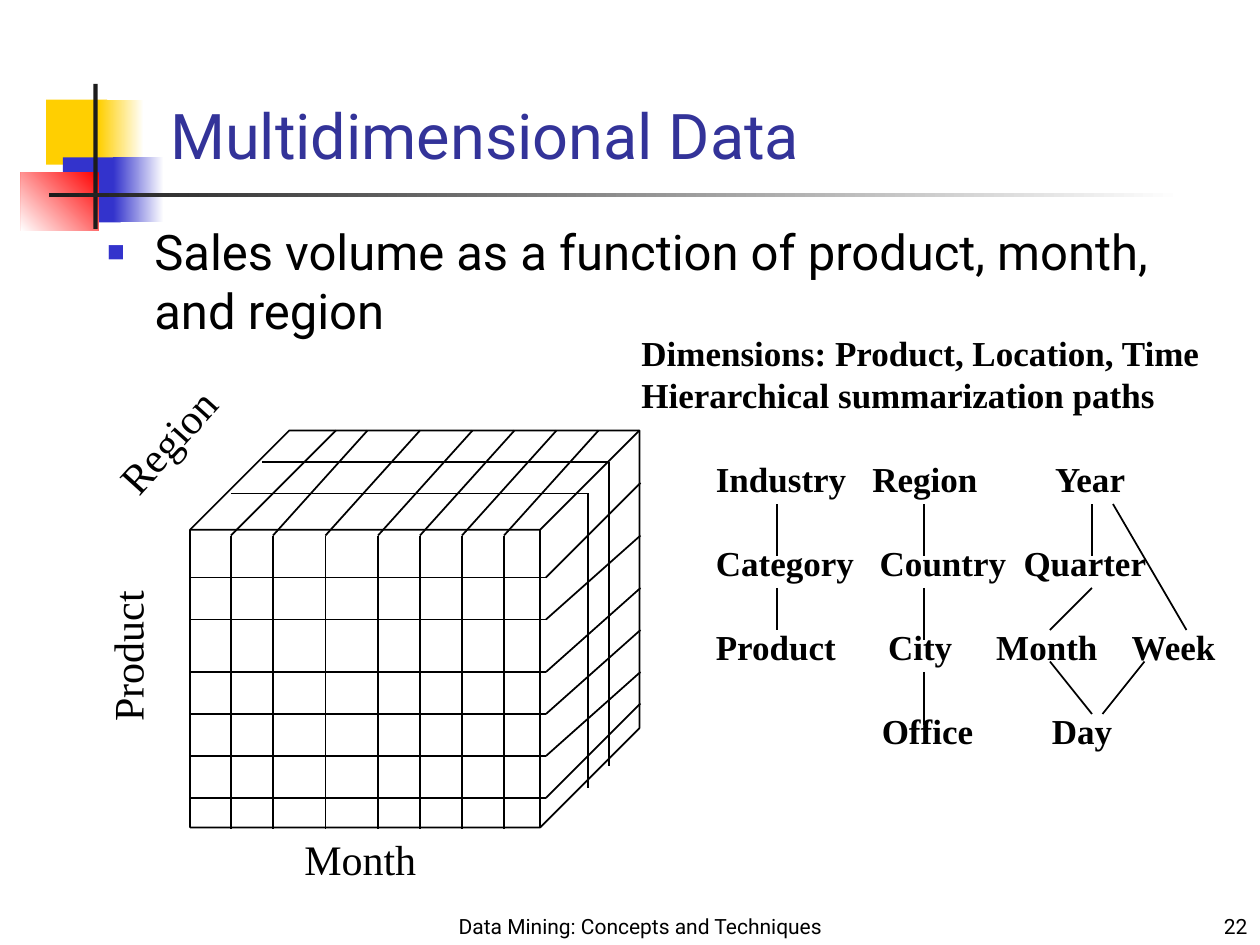
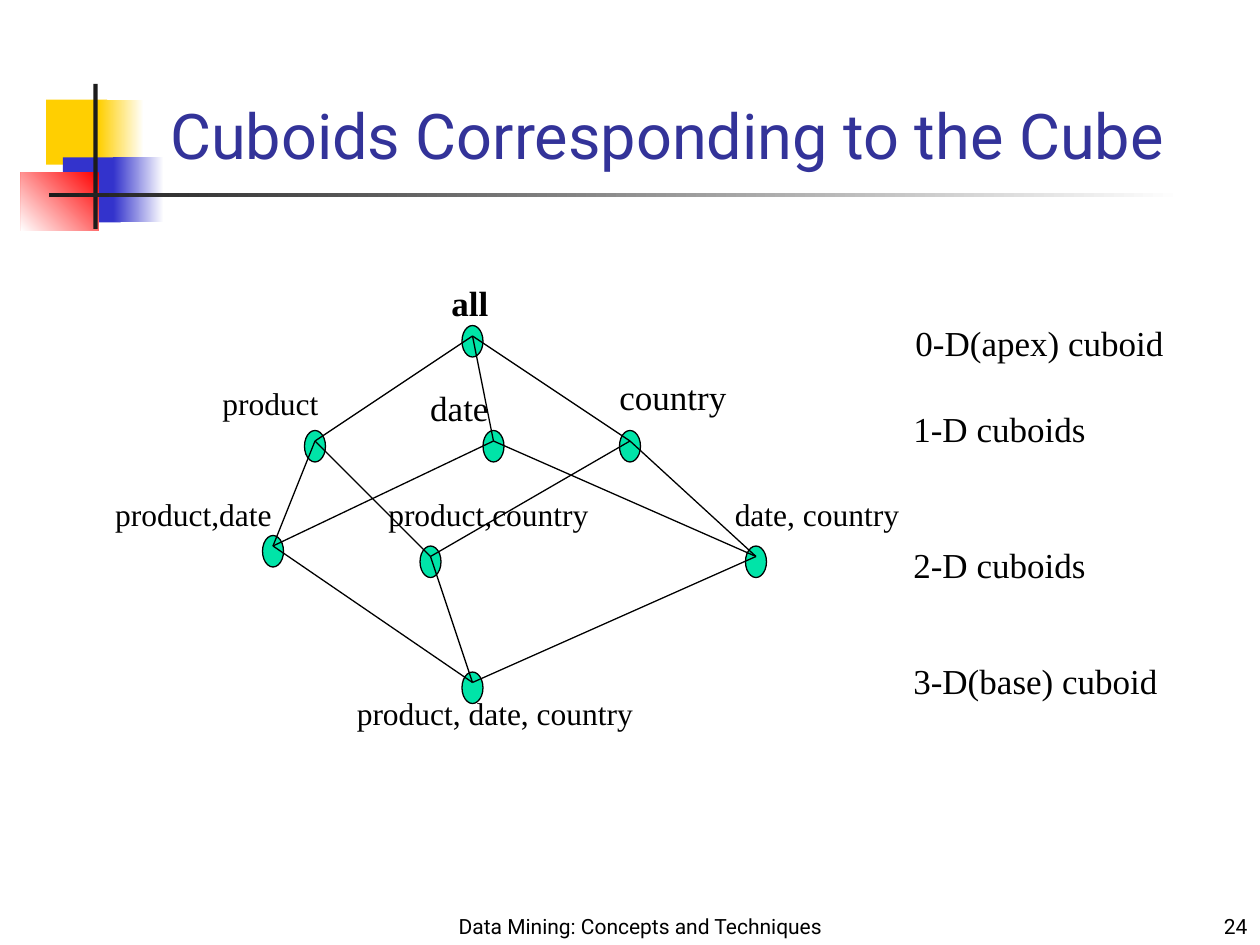
from itertools import permutations

from lxml.etree import SubElement
from pptx import Presentation
from pptx.dml.color import RGBColor
from pptx.enum.shapes import MSO_CONNECTOR as Connector, MSO_SHAPE as Shape
from pptx.enum.text import MSO_ANCHOR as Anchor, MSO_AUTO_SIZE as AutoSize, PP_ALIGN as Align
from pptx.oxml.ns import qn
from pptx.util import Pt

PX = 914400 // 120
LABEL_SLACK = 5
SANS, SERIF = "Roboto", "Times New Roman"
COLORS = {
    "yellow": "FFCF01",
    "blue": "3333CC",
    "red": "FF0000",
    "white": "FFFFFF",
    "bar": "1C1C1C",
    "title": "333399",
    "text": "000000",
    "node": "00E4A8",
}
FOOTER = "Data Mining: Concepts and Techniques"


def rgb(name):
    """Return the named colour."""
    return RGBColor.from_string(COLORS[name])


def emu(*lengths):
    """Turn px lengths into EMU."""
    return [length * PX for length in lengths]


def write(paragraph, text, size, font=SERIF, color="text", bold=False):
    """Add one formatted run to a paragraph."""
    run = paragraph.add_run()
    run.text = text
    run.font.size = Pt(size)
    run.font.name = font
    run.font.bold = bold
    run.font.color.rgb = rgb(color)


def add_label(slide, box, text, size, bold=False, rotation=0):
    """Add an unwrapped serif label with a little spare width."""
    left, top, width, height = box
    label = slide.shapes.add_textbox(*emu(left, top, width + LABEL_SLACK, height))
    label.rotation = rotation
    label.text_frame.word_wrap = False
    label.text_frame.auto_size = AutoSize.SHAPE_TO_FIT_TEXT
    write(label.text_frame.paragraphs[0], text, size, bold=bold)
    return label


def add_line(slide, origin, ends, width=1):
    """Draw a straight line whose ends are relative to an origin."""
    left, top = origin
    x1, y1, x2, y2 = ends
    line = slide.shapes.add_connector(
        Connector.STRAIGHT, *emu(left + x1, top + y1, left + x2, top + y2))
    line.line.color.rgb = rgb("text")
    line.line.width = Pt(width)
    SubElement(line._element.spPr, qn("a:effectLst"))


def add_block(slide, box, start, end=None, angle=0):
    """Draw a plain or gradient rectangle without outline."""
    block = slide.shapes.add_shape(Shape.RECTANGLE, *emu(*box))
    block.shadow.inherit = False
    block.line.fill.background()
    if end is None:
        block.fill.solid()
        block.fill.fore_color.rgb = rgb(start)
        return
    block.fill.gradient()
    block.fill.gradient_angle = angle
    for stop, color in zip(block.fill.gradient_stops, (start, end)):
        stop.color.rgb = rgb(color)


def add_emblem(slide, left, top):
    """Draw the coloured blocks, the upright bar and the title rule."""
    for (x, y, width, height), *paint in (
        ((24, 15, 58, 62), "yellow"),
        ((74, 15, 43, 62), "white", "yellow", 180),
        ((40, 70, 55, 62), "blue"),
        ((88, 70, 48, 62), "white", "blue", 180),
        ((0, 84, 74, 56), "red", "white", 225),
        ((69, 0, 4, 138), "bar"),
        ((27, 104, 1080, 4), "white", "bar", 180),
    ):
        add_block(slide, (left + x, top + y, width, height), *paint)


def add_footer(slide, box, text, align):
    """Add a bottom-anchored footer text."""
    frame = slide.shapes.add_textbox(*emu(*box)).text_frame
    frame.word_wrap = True
    frame.vertical_anchor = Anchor.BOTTOM
    frame.paragraphs[0].alignment = align
    write(frame.paragraphs[0], text, 12, SANS)


def place(placeholder, box, anchor):
    """Move a placeholder and return its first paragraph."""
    placeholder.left, placeholder.top, placeholder.width, placeholder.height = emu(*box)
    frame = placeholder.text_frame
    frame.auto_size = AutoSize.NONE
    frame.word_wrap = True
    frame.vertical_anchor = anchor
    paragraph = frame.paragraphs[0]
    paragraph.alignment = Align.LEFT
    return paragraph


def add_slide(prs, layout, title, number):
    """Add a slide with emblem, title and footers."""
    slide = prs.slides.add_slide(prs.slide_layouts[layout])
    add_emblem(slide, 20, 80)
    heading = place(slide.shapes.title, (150, 90, 1022, 80), Anchor.BOTTOM)
    write(heading, title, 36, SANS, "title")
    add_footer(slide, (420, 830, 380, 70), FOOTER, Align.CENTER)
    add_footer(slide, (950, 840, 250, 60), number, Align.RIGHT)
    return slide


def add_statement(slide, box, text):
    """Fill the body placeholder with one square-bulleted statement."""
    statement = place(slide.placeholders[1], box, Anchor.TOP)
    props = statement._p.get_or_add_pPr()
    props.set("marL", str(45 * PX))
    props.set("indent", str(-45 * PX))
    bullet_color = SubElement(props, qn("a:buClr"))
    SubElement(bullet_color, qn("a:srgbClr"), val=COLORS["blue"])
    SubElement(props, qn("a:buSzPct"), val="60000")
    SubElement(props, qn("a:buChar"), char="■")
    statement.space_before = Pt(0)
    write(statement, text, 28, SANS)


def add_cube(slide, left, top):
    """Draw the sales cube with its grid and axis labels."""
    cube = slide.shapes.add_shape(Shape.CUBE, *emu(left + 1, top, 428, 378))
    cube.adjustments[0] = 0.25
    cube.shadow.inherit = False
    cube.fill.background()
    cube.line.color.rgb = rgb("text")
    cube.line.width = Pt(1)
    rows = ((140, 50), (180, 100), (230, 150), (270, 190), (310, 230), (350, 260))
    columns = (40, 80, 130, 180, 220, 260, 300)
    depths = ((70, 30, 400, 320), (40, 60, 380, 340))
    grid = []
    for front, back in rows:
        grid += [(0, front, 340, front), (340, front, 430, back)]
    for x in columns:
        shift = 100 if x == columns[0] else 90
        grid += [(x, 100, x, 380), (x, 100, x + shift, 0)]
    for start, y, corner, bottom in depths:
        grid += [(start, y, corner, y), (corner, y, corner, bottom)]
    for ends in grid:
        add_line(slide, (left, top), ends)
    for text, x, y, width, rotation in (
        ("Product", -136, 182, 149, 270),
        ("Region", -91, -22, 139, 312),
        ("Month", 98, 378, 131, 0),
    ):
        add_label(slide, (left + x, top + y, width, 60), text, 24, rotation=rotation)


def add_hierarchies(slide, left, top):
    """Write the dimension hierarchies on tab stops and link their levels."""
    levels = (
        (("Industry", 0), ("Region", 149), ("Year", 323)),
        (("Category", 0), ("Country", 156), ("Quarter", 293)),
        (("Product", 0), ("City", 164), ("Month", 267), ("Week", 396)),
        (("", 0), ("Office", 158), ("Day", 320)),
    )
    frame = slide.shapes.add_textbox(*emu(left, top, 504, 293)).text_frame
    frame.word_wrap = True
    for index, level in enumerate(levels):
        row = frame.add_paragraph() if index else frame.paragraphs[0]
        stops = SubElement(row._p.get_or_add_pPr(), qn("a:tabLst"))
        for _, x in level[1:]:
            SubElement(stops, qn("a:tab"), pos=str(x * PX), algn="l")
        row.line_spacing = Pt(24)
        row.space_before = Pt(24 if index else 0)
        write(row, "\t".join(name for name, _ in level), 20, bold=True)
    for ends in (
        (70, 50, 70, 100), (210, 50, 210, 100), (370, 50, 370, 100),
        (70, 130, 70, 170), (210, 130, 210, 180), (210, 210, 210, 260),
        (370, 130, 330, 170), (390, 50, 460, 170),
        (330, 200, 370, 250), (420, 200, 380, 250),
    ):
        add_line(slide, (left, top), ends)


def add_dimensions(slide, box):
    """Write the two lines that introduce the hierarchies."""
    frame = add_label(slide, box, "Dimensions: Product, Location, Time", 20, True).text_frame
    write(frame.add_paragraph(), "Hierarchical summarization paths", 20, bold=True)
    for paragraph in frame.paragraphs:
        paragraph.line_spacing = Pt(24)


def add_lattice(slide, left, top):
    """Draw the cuboid lattice, linking sets that differ by one dimension."""
    cuboids = {
        "": (350, 50, "all", 328, 2, 59, 20),
        "p": (200, 150, "product", 110, 100, 115, 18),
        "d": (370, 150, "date", 308, 102, 79, 20),
        "c": (500, 150, "country", 488, 92, 126, 20),
        "pd": (160, 250, "product,date", 8, 206, 173, 18),
        "pc": (310, 260, "product,country", 268, 206, 215, 18),
        "dc": (620, 260, "date, country", 598, 206, 180, 18),
        "pdc": (350, 380, "product, date, country", 238, 395, 287, 18),
    }
    for x, y, *_ in cuboids.values():
        node = slide.shapes.add_shape(
            Shape.FLOWCHART_CONNECTOR, *emu(left + x, top + y, 20, 30))
        node.shadow.inherit = False
        node.fill.solid()
        node.fill.fore_color.rgb = rgb("node")
        node.line.color.rgb = rgb("text")
        node.line.width = Pt(0.75)
    for parent, child in permutations(cuboids, 2):
        if set(parent) < set(child) and len(child) == len(parent) + 1:
            ends = cuboids[parent][:2] + cuboids[child][:2]
            add_line(slide, (left + 10, top + 10), ends, 0.75)
    for _, _, text, x, y, width, size in cuboids.values():
        box = (left + x, top + y, width, 53 if size == 20 else 48)
        add_label(slide, box, text, size, bold=text == "all")


def add_level_names(slide, left, top):
    """Name the lattice levels by their number of dimensions."""
    for text, x, y, width in (
        ("0-D(apex) cuboid", 2, 0, 260),
        ("1-D cuboids", 0, 82, 188),
        ("2-D cuboids", 0, 212, 188),
        ("3-D(base) cuboid", 0, 322, 257),
    ):
        add_label(slide, (left + x, top + y, width, 53), text, 20)


def build_data_slide(prs):
    """Build the slide on multidimensional data."""
    slide = add_slide(prs, 1, "Multidimensional Data", "22")
    add_statement(slide, (90, 205, 1050, 600),
                  "Sales volume as a function of product, month, and region")
    add_cube(slide, 180, 410)
    add_dimensions(slide, (599, 310, 558, 92))
    add_hierarchies(slide, 670, 430)


def build_cuboid_slide(prs):
    """Build the slide on the cuboid lattice."""
    slide = add_slide(prs, 5, "Cuboids Corresponding to the Cube", "24")
    add_lattice(slide, 90, 260)
    add_level_names(slide, 858, 300)


def main():
    """Build and save the presentation."""
    prs = Presentation()
    prs.slide_width, prs.slide_height = emu(1200, 900)
    build_data_slide(prs)
    build_cuboid_slide(prs)
    prs.save("out.pptx")


if __name__ == "__main__":
    main()
